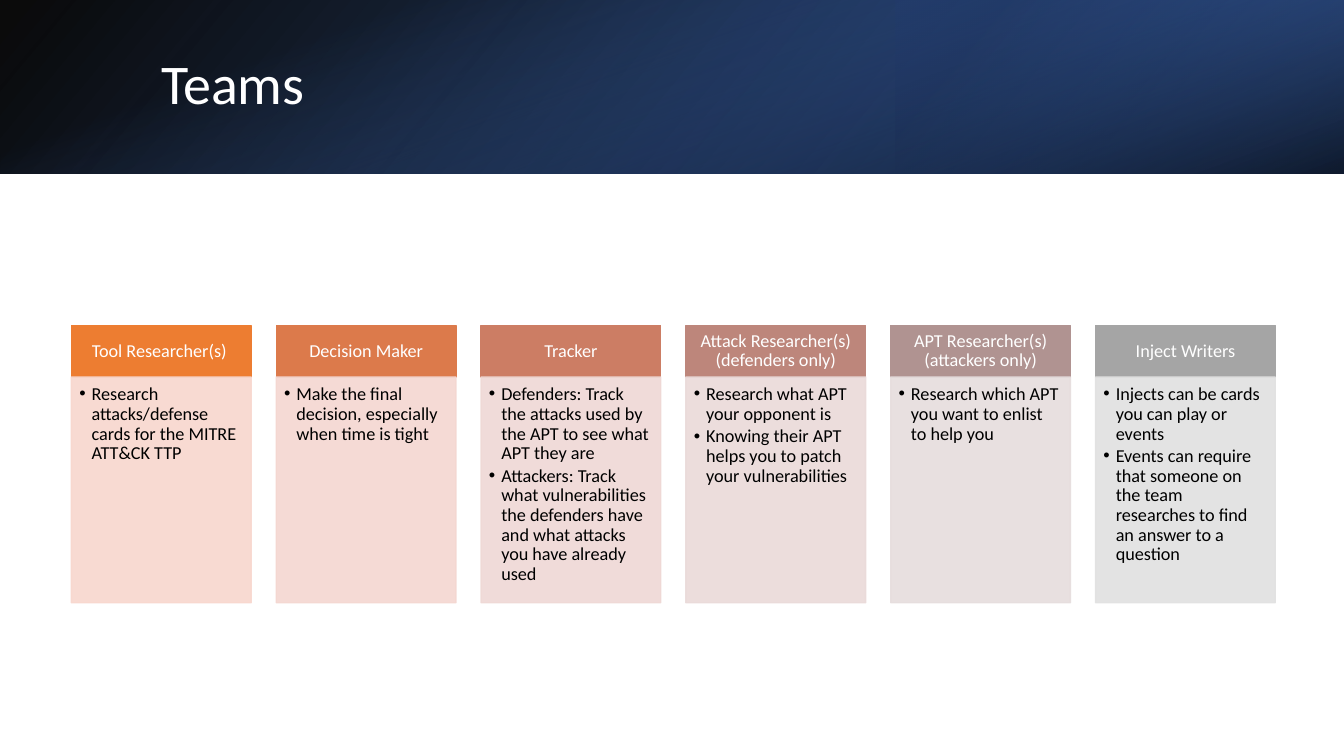
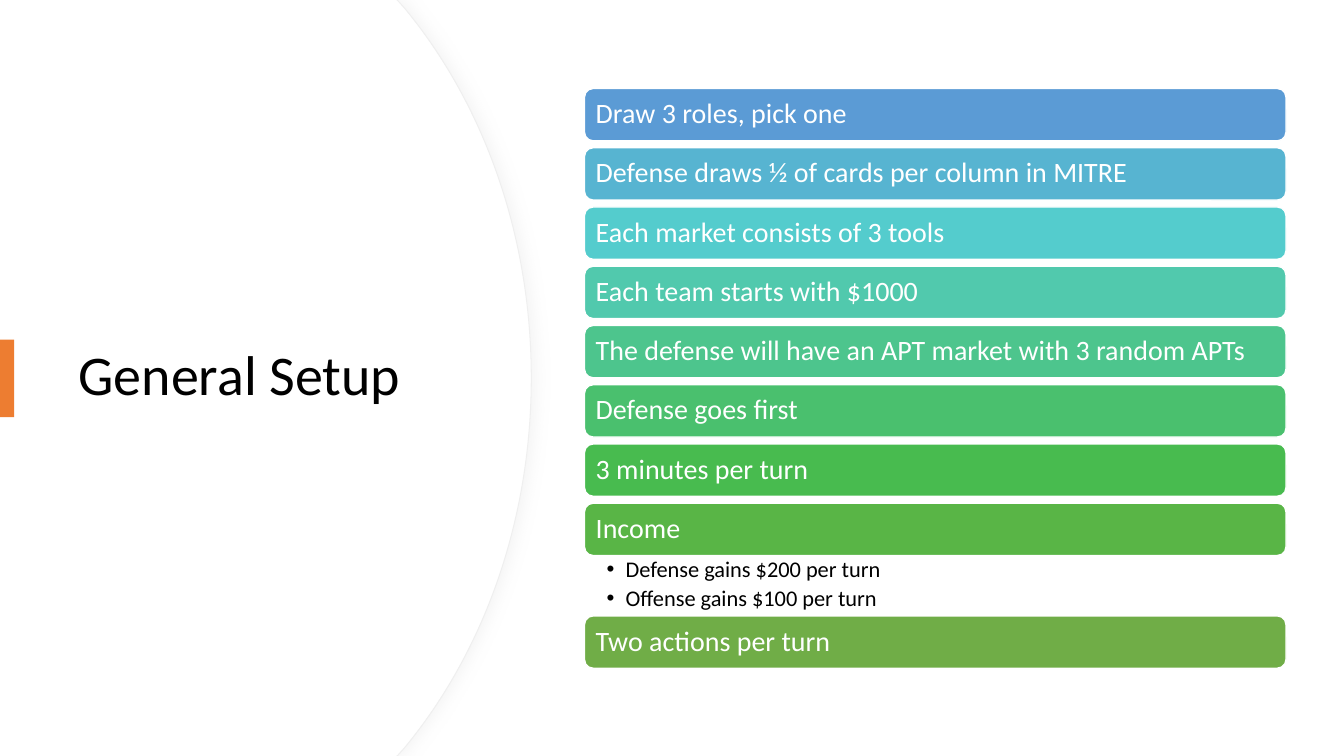
from pptx import Presentation
from pptx.dml.color import RGBColor
from pptx.enum.shapes import MSO_SHAPE
from pptx.enum.text import MSO_ANCHOR, MSO_AUTO_SIZE, PP_ALIGN
from pptx.oxml import parse_xml
from pptx.oxml.ns import nsdecls, qn
from pptx.util import Cm, Pt
from lxml.etree import SubElement

FONT = "Calibri"
WHITE = RGBColor(0xFF, 0xFF, 0xFF)
BLACK = RGBColor(0x00, 0x00, 0x00)
ORANGE = RGBColor(0xED, 0x7D, 0x31)
NAVY = RGBColor(0x20, 0x38, 0x64)
DEEP_BLUE = RGBColor(0x2F, 0x55, 0x97)
BLUE = RGBColor(0x44, 0x72, 0xC4)
EDGE = RGBColor(0xEF, 0xEF, 0xEF)
SHADE = RGBColor(0xD9, 0xD9, 0xD9)
SLIDE_W, SLIDE_H = 33.87, 19.05
BAND_H = 4.38

TEAMS = [
    ("Tool Researcher(s) ", ORANGE, RGBColor(0xF8, 0xD7, 0xCE),
     ["Research attacks/defense cards for the MITRE ATT&CK TTP"]),
    ("Decision Maker", RGBColor(0xDC, 0x7A, 0x4B), RGBColor(0xF4, 0xD7, 0xD1),
     ["Make the final decision, especially when time is tight"]),
    ("Tracker", RGBColor(0xCC, 0x7D, 0x64), RGBColor(0xEF, 0xD8, 0xD5),
     ["Defenders: Track the attacks used by the APT to see what APT they are",
      "Attackers: Track what vulnerabilities the defenders have and what "
      "attacks you have already used"]),
    ("Attack Researcher(s) (defenders only)",
     RGBColor(0xBD, 0x86, 0x7B), RGBColor(0xEA, 0xDA, 0xD9),
     ["Research what APT your opponent is",
      "Knowing their APT helps you to patch your vulnerabilities"]),
    ("APT Researcher(s) (attackers only)",
     RGBColor(0xB0, 0x93, 0x91), RGBColor(0xE6, 0xDD, 0xDD),
     ["Research which APT you want to enlist to help you"]),
    ("Inject Writers", RGBColor(0xA5, 0xA5, 0xA5), RGBColor(0xE1, 0xE1, 0xE1),
     ["Injects can be cards you can play or events",
      "Events can require that someone on the team researches to find an "
      "answer to a question"]),
]

STEPS = [
    ("Draw 3 roles, pick one", RGBColor(0x5B, 0x9B, 0xD5), []),
    ("Defense draws ½ of cards per column in MITRE",
     RGBColor(0x57, 0xB4, 0xD1), []),
    ("Each market consists of 3 tools", RGBColor(0x54, 0xCC, 0xCD), []),
    ("Each team starts with $1000", RGBColor(0x51, 0xC9, 0xAD), []),
    ("The defense will have an APT market with 3 random APTs",
     RGBColor(0x4D, 0xC5, 0x8D), []),
    ("Defense goes first", RGBColor(0x4A, 0xC0, 0x6E), []),
    ("3 minutes per turn", RGBColor(0x48, 0xBB, 0x4F), []),
    ("Income", RGBColor(0x59, 0xB5, 0x46),
     ["Defense gains $200 per turn", "Offense gains $100 per turn"]),
    ("Two actions per turn", RGBColor(0x70, 0xAD, 0x47), []),
]


def style(sp, fill, line=None, width=1):
    """Give a shape a solid fill, an optional line and no shadow."""
    sp.shadow.inherit = False
    sp.fill.solid()
    sp.fill.fore_color.rgb = fill
    if line is None:
        sp.line.fill.background()
    else:
        sp.line.color.rgb = line
        sp.line.width = Pt(width)


def add_box(s, kind, x, y, w, h, fill, line=None):
    """Add a styled preset shape, in centimetres."""
    sp = s.shapes.add_shape(kind, Cm(x), Cm(y), Cm(w), Cm(h))
    style(sp, fill, line)
    return sp


def set_text(sp, lines, size, color, insets, anchor=MSO_ANCHOR.MIDDLE,
             align=PP_ALIGN.LEFT, bullet=None, after=0):
    """Write paragraphs, bulleted at the given indent if there is one."""
    tf = sp.text_frame
    tf.word_wrap = True
    tf.auto_size = MSO_AUTO_SIZE.NONE
    tf.vertical_anchor = anchor
    tf.margin_left, tf.margin_top, tf.margin_right, tf.margin_bottom = map(
        Cm, insets)
    for i, line in enumerate(lines):
        p = tf.paragraphs[0] if i == 0 else tf.add_paragraph()
        p.text = line
        p.alignment = align
        p.line_spacing = 0.9
        p.space_before = Pt(0)
        p.space_after = Pt(after)
        if bullet:
            pPr = p._p.get_or_add_pPr()
            pPr.set("marL", str(Cm(bullet)))
            pPr.set("indent", str(-Cm(bullet)))
            SubElement(pPr, qn("a:buFont")).set("typeface", "Arial")
            SubElement(pPr, qn("a:buChar")).set("char", "•")
        for r in p.runs:
            r.font.name = FONT
            r.font.size = Pt(size)
            r.font.color.rgb = color


def set_title(s, text, x, y, w, h, color):
    """Place the title placeholder in front of the background."""
    sp = s.shapes.title
    sp.left, sp.top, sp.width, sp.height = Cm(x), Cm(y), Cm(w), Cm(h)
    set_text(sp, [text], 40, color, (0.25, 0.13, 0.25, 0.13))
    sp.element.getparent().append(sp.element)


def set_alpha(sp, percent):
    """Make the fill and line of a shape partly transparent."""
    for clr in sp.element.spPr.iter(qn("a:srgbClr")):
        SubElement(clr, qn("a:alpha")).set("val", str(percent * 1000))


def add_gradient(s, x, y, w, h, stops, angle, rotation=0, flip=False):
    """Add a rectangle whose gradient stops are position, colour, opacity."""
    sp = add_box(s, MSO_SHAPE.RECTANGLE, x, y, w, h, WHITE)
    sp.rotation = rotation
    spPr = sp.element.spPr
    if flip:
        spPr.find(qn("a:xfrm")).set("flipH", "1")
    gs = "".join(
        f'<a:gs pos="{pos * 1000}"><a:srgbClr val="{color}">'
        f'<a:alpha val="{alpha * 1000}"/></a:srgbClr></a:gs>'
        for pos, color, alpha in stops)
    spPr.replace(spPr.find(qn("a:solidFill")), parse_xml(
        f'<a:gradFill {nsdecls("a")} rotWithShape="1"><a:gsLst>{gs}</a:gsLst>'
        f'<a:lin ang="{angle * 60000}" scaled="0"/></a:gradFill>'))


def add_band(s, w, h):
    """Layer the gradients of the dark band along the top."""
    add_gradient(s, 0, 0, w, h, [(0, BLACK, 96), (100, DEEP_BLUE, 100)],
                 140, flip=True)
    add_gradient(s, w * 2 / 3, 0, w / 3, h, [(19, NAVY, 68), (100, BLUE, 79)],
                 320, rotation=180, flip=True)
    add_gradient(s, (w - h) / 2, (h - w) / 2, h, w,
                 [(23, BLUE, 0), (99, BLACK, 74)], 340, rotation=90)


def add_team(s, x, y, w, h, team):
    """Add one column: a header over a bulleted body."""
    name, head_color, body_color, duties = team
    head_h = 1.3
    head = add_box(s, MSO_SHAPE.RECTANGLE, x, y, w, head_h,
                   head_color, head_color)
    set_text(head, [name], 13, WHITE, (0.25, 0.15, 0.25, 0.15),
             align=PP_ALIGN.CENTER)
    body = add_box(s, MSO_SHAPE.RECTANGLE, x, y + head_h, w, h - head_h,
                   body_color, body_color)
    set_alpha(body, 90)
    set_text(body, duties, 13, BLACK, (0.2, 0.2, 0.25, 0.28),
             MSO_ANCHOR.TOP, bullet=0.31, after=1.95)


def add_teams(s, x, y, w, h):
    """Spread the team columns evenly over a box."""
    col_w = 4.53
    pitch = (w - col_w) / (len(TEAMS) - 1)
    for i, team in enumerate(TEAMS):
        add_team(s, x + i * pitch, y, col_w, h, team)


def add_disc(s, w, h, line=None):
    """Add the white panel whose right edge bulges in two curves."""
    upper = [(w - 3.38, 0), (w - 3.2, 0.2), (w - 1.22, 2.59), (w, 5.89)]
    lower = [(px, h - py) for px, py in reversed(upper)]
    points = upper + [(w, h / 2)] + lower + [(0, h)]
    fb = s.shapes.build_freeform(0, 0)
    fb.add_line_segments([(Cm(px), Cm(py)) for px, py in points])
    sp = fb.convert_to_shape()
    segments = list(sp.element.spPr.iter(qn("a:lnTo")))
    for first in (2, 5):
        trio = segments[first:first + 3]
        curve = SubElement(trio[0].getparent(), qn("a:cubicBezTo"))
        trio[0].addprevious(curve)
        for segment in trio:
            curve.append(segment[0])
            segment.getparent().remove(segment)
    style(sp, WHITE, line, 0.75)
    return sp


def add_panel(s, w, h):
    """Add the shaded panel and the plain one that covers its inner edge."""
    sp = add_disc(s, w, h, EDGE)
    sp.element.spPr.find(qn("a:effectLst")).append(parse_xml(
        f'<a:outerShdw {nsdecls("a")} blurRad="{Pt(10)}" dist="{Pt(3)}" dir="0">'
        f'<a:srgbClr val="{SHADE}"><a:alpha val="25000"/></a:srgbClr>'
        '</a:outerShdw>'))
    add_disc(s, w - 0.03, h)


def add_steps(s, x, y, w, h):
    """Stack the step bars, with details directly below their bar."""
    bar_h, details_h = 1.32, 1.52
    detailed = sum(bool(details) for _, _, details in STEPS)
    gap = ((h - len(STEPS) * bar_h - detailed * details_h)
           / (len(STEPS) - 1 - detailed))
    for text, color, details in STEPS:
        bar = add_box(s, MSO_SHAPE.ROUNDED_RECTANGLE, x, y, w, bar_h,
                      color, WHITE)
        set_text(bar, [text], 20, WHITE, (0.22, 0.2, 0.2, 0.2))
        y += bar_h
        if details:
            tb = s.shapes.add_textbox(Cm(x), Cm(y), Cm(w), Cm(details_h))
            set_text(tb, details, 16, BLACK, (0.56, 0.07, 0.4, 0.07),
                     MSO_ANCHOR.TOP, bullet=0.48, after=3.2)
            y += details_h
        else:
            y += gap


def teams_slide(prs):
    """Build the slide of team roles."""
    s = prs.slides.add_slide(prs.slide_layouts[5])
    add_band(s, SLIDE_W, BAND_H)
    set_title(s, "Teams", 3.81, 0.95, 27.89, 2.44, WHITE)
    add_teams(s, 1.8, 8.2, 30.34, 6.99)


def setup_slide(prs):
    """Build the slide of setup steps."""
    s = prs.slides.add_slide(prs.slide_layouts[5])
    add_panel(s, 13.39, SLIDE_H)
    set_title(s, "General Setup", 1.73, 3.23, 10, 12.57, BLACK)
    add_box(s, MSO_SHAPE.RECTANGLE, 0, 8.56, 0.36, 1.95, ORANGE)
    add_steps(s, 14.73, 2.23, 17.68, 14.61)


def main():
    """Build and save the presentation."""
    prs = Presentation()
    prs.slide_width, prs.slide_height = Cm(SLIDE_W), Cm(SLIDE_H)
    teams_slide(prs)
    setup_slide(prs)
    prs.save("out.pptx")


if __name__ == "__main__":
    main()
